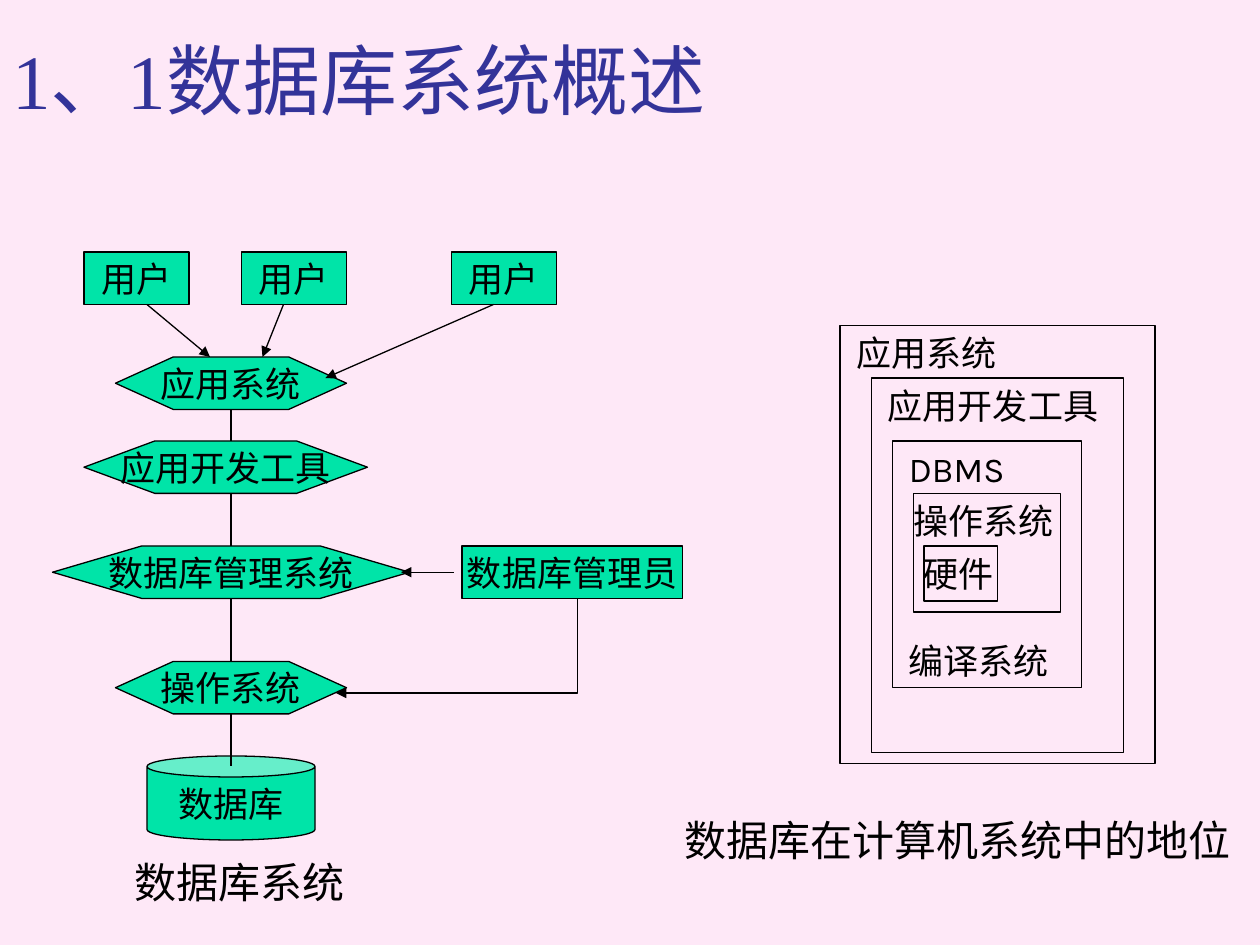
import pptx
import pptx.dml.color
import pptx.enum.shapes
import pptx.enum.text
import pptx.util
from pptx.oxml import parse_xml
from pptx.oxml.ns import nsdecls

Cm, Pt = pptx.util.Cm, pptx.util.Pt
RGBColor = pptx.dml.color.RGBColor
MSO_SHAPE = pptx.enum.shapes.MSO_SHAPE
ANCHOR = pptx.enum.text.MSO_ANCHOR
ALIGN = pptx.enum.text.PP_ALIGN

PINK = RGBColor(0xFE, 0xE8, 0xF7)
GREEN = RGBColor(0x00, 0xE4, 0xA8)
BLUE = RGBColor(0x33, 0x33, 0x99)
BLACK = RGBColor(0x00, 0x00, 0x00)

# Content; all places are in grid units, twelve to the inch
UNIT = Cm(2.54) / 12
ROW_HEIGHT = 5

USERS = [("用户", left, 24, 10) for left in (8, 23, 43)]
ADMINISTRATOR = ("数据库管理员", 44, 52, 21)
LAYERS = [  # text, left, top, width
    ("应用系统", 11, 34, 22),
    ("应用开发工具", 8, 42, 27),
    ("数据库管理系统", 5, 52, 34),
    ("操作系统", 11, 63, 22),
]
DATABASE = ("数据库", 14, 72, 16, 8)
AXIS = 22
LINKS = [(39, 42), (47, 52), (57, 63), (68, 73)]  # top and bottom on the axis
ARROWS = [  # from x, y to x, y
    (14, 29, 20, 34),
    (27, 29, 25, 34),
    (47, 29, 31, 36),
    (43.2, 54.5, 38.2, 54.5),
]
ADMINISTRATOR_PATH = [(55, 57), (55, 66), (32, 66)]
NESTED = [  # paragraphs, left, top, width, height, left inset in cm
    (["硬件"], 88, 52, 7, 5.25, 0),
    (["操作系统"], 87, 47, 14, 11.3, 0),
    (["DBMS", "编译系统"], 85, 42, 18, 23.5, 0.33),
    (["应用开发工具"], 83, 36, 24, 35.7, 0.33),
    (["应用系统"], 80, 31, 30, 41.75, 0.33),
]
CAPTIONS = [
    ("数据库系统", 11.6, 81, 23, 6),
    ("数据库在计算机系统中的地位", 64, 77, 55, 6),
]
TITLE = ("1、1数据库系统概述", 0, 2, 102, 11)


def grid(*values):
    return [round(value * UNIT) for value in values]


def set_text(shape, lines, size, font="Karla", color=BLACK, align=ALIGN.LEFT,
             anchor=ANCHOR.TOP, wrap=True):
    frame = shape.text_frame
    frame.text = "\n".join(lines)
    frame.word_wrap = wrap
    frame.vertical_anchor = anchor
    for paragraph in frame.paragraphs:
        paragraph.alignment = align
        paragraph.font.size = Pt(size)
        paragraph.font.name = font
        paragraph.font.color.rgb = color
    return frame


def set_line(shape, arrow=False):
    shape.line.color.rgb = BLACK
    shape.line.width = Pt(0.75)
    if arrow:
        shape.line._get_or_add_ln().append(
            parse_xml(f'<a:tailEnd {nsdecls("a")} type="triangle"/>'))


def add_outline(slide, kind, *box):
    shape = slide.shapes.add_shape(kind, *grid(*box))
    shape.shadow.inherit = False
    shape.fill.background()
    set_line(shape)
    return shape


def add_node(slide, kind, text, left, top, width, height=ROW_HEIGHT):
    shape = add_outline(slide, kind, left, top, width, height)
    shape.fill.solid()
    shape.fill.fore_color.rgb = GREEN
    set_text(shape, [text], 20, align=ALIGN.CENTER, anchor=ANCHOR.MIDDLE,
             wrap=False)
    return shape


def add_line(slide, *ends, arrow=False):
    connector = slide.shapes.add_connector(
        pptx.enum.shapes.MSO_CONNECTOR.STRAIGHT, *grid(*ends))
    set_line(connector, arrow)
    connector._element.spPr.append(
        parse_xml(f'<a:effectLst {nsdecls("a")}/>'))


def add_architecture(slide):
    for layer in LAYERS:
        hexagon = add_node(slide, MSO_SHAPE.HEXAGON, *layer)
        # The slanted ends each take a quarter of the width
        hexagon.adjustments[0] = layer[3] / 4 / ROW_HEIGHT
    add_node(slide, MSO_SHAPE.CAN, *DATABASE)
    for box in USERS + [ADMINISTRATOR]:
        add_node(slide, MSO_SHAPE.RECTANGLE, *box)

    for top, bottom in LINKS:
        add_line(slide, AXIS, top, AXIS, bottom)
    for arrow in ARROWS:
        add_line(slide, *arrow, arrow=True)

    # Bent arrow from the administrator to the operating system
    start, *corners = [grid(*point) for point in ADMINISTRATOR_PATH]
    builder = slide.shapes.build_freeform(*start)
    builder.add_line_segments(corners, close=False)
    path = builder.convert_to_shape()
    path.shadow.inherit = False
    path.fill.background()
    set_line(path, arrow=True)


def add_nested_boxes(slide):
    for lines, left, top, width, height, inset in NESTED:
        shape = add_outline(slide, MSO_SHAPE.RECTANGLE, left, top, width, height)
        frame = set_text(shape, lines, 20)
        frame.margin_left, frame.margin_right = Cm(inset), 0
        for paragraph in frame.paragraphs[1:]:
            paragraph.space_before = Pt(86)


def main():
    presentation = pptx.Presentation()
    presentation.slide_width, presentation.slide_height = Cm(25.4), Cm(19.05)
    slide = presentation.slides.add_slide(presentation.slide_layouts[6])
    slide.background.fill.solid()
    slide.background.fill.fore_color.rgb = PINK

    add_architecture(slide)
    add_nested_boxes(slide)

    # Captions and title
    for text, *box in CAPTIONS:
        set_text(slide.shapes.add_textbox(*grid(*box)), [text], 24)
    text, *box = TITLE
    set_text(slide.shapes.add_textbox(*grid(*box)), [text], 44,
             "Times New Roman", BLUE, anchor=ANCHOR.MIDDLE)

    presentation.save("out.pptx")


if __name__ == "__main__":
    main()
